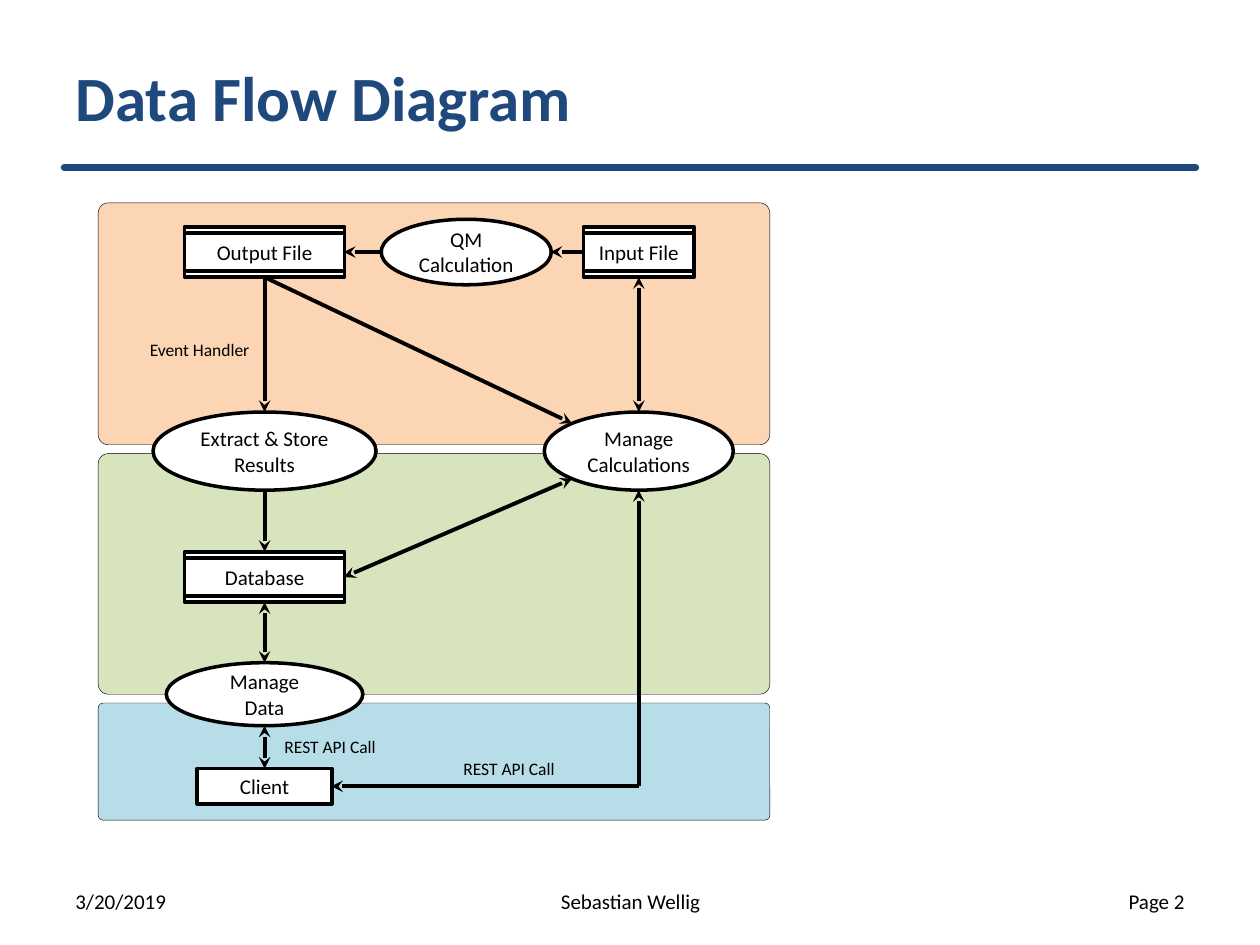
from dataclasses import dataclass

from lxml.etree import SubElement
from pptx import Presentation
from pptx.dml.color import RGBColor
from pptx.enum.shapes import MSO_CONNECTOR, MSO_SHAPE as Shape
from pptx.enum.text import MSO_ANCHOR as Anchor, PP_ALIGN as Align
from pptx.oxml.ns import qn
from pptx.util import Inches, Pt


@dataclass(frozen=True)
class Theme:
    """Colours, type sizes and line widths of the slide."""
    font: str = "Calibri"
    navy: str = "1F497D"
    ink: str = "000000"
    paper: str = "FFFFFF"
    orange: str = "FCD5B5"
    green: str = "D7E4BD"
    blue: str = "B7DEE8"
    title: float = 36
    body: float = 12
    label: float = 10
    rule: float = 4
    arrow: float = 2.25
    outline: float = 2
    hairline: float = 0.25


@dataclass(frozen=True)
class Layer:
    """A coloured band behind the nodes."""
    top: float
    height: float
    fill: str


@dataclass(frozen=True)
class Node:
    """A box of the diagram, placed by its centre."""
    lines: tuple[str, ...]
    kind: Shape
    x: float
    y: float
    width: float
    height: float


@dataclass(frozen=True)
class Flow:
    """A straight arrow between two points."""
    start: tuple[float, float]
    end: tuple[float, float]
    two_way: bool = False


@dataclass(frozen=True)
class Caption:
    """A piece of free text."""
    text: str
    left: float
    top: float
    width: float
    height: float = 0.27
    align: Align = Align.LEFT


THEME = Theme()
LEFT_X, RIGHT_X = 2.1, 5.07
FILES_Y, TASKS_Y, DATABASE_Y, DATA_Y, CLIENT_Y = 2, 3.58, 4.58, 5.51, 6.24
STORE = Shape.FLOWCHART_PREDEFINED_PROCESS

LAYERS = (
    Layer(5.58, 0.93, THEME.blue),
    Layer(1.61, 1.92, THEME.orange),
    Layer(3.6, 1.91, THEME.green),
)
NODES = (
    Node(("Output File",), STORE, LEFT_X, FILES_Y, 1.27, 0.4),
    Node(("Input File",), STORE, RIGHT_X, FILES_Y, 0.88, 0.4),
    Node(("Database",), STORE, LEFT_X, DATABASE_Y, 1.27, 0.4),
    Node(("QM", "Calculation"), Shape.OVAL, 3.7, FILES_Y, 1.35, 0.52),
    Node(("Client",), Shape.RECTANGLE, LEFT_X, CLIENT_Y, 1.07, 0.28),
    Node(("Manage", "Data"), Shape.OVAL, LEFT_X, DATA_Y, 1.56, 0.5),
    Node(("Manage Calculations",), Shape.OVAL, RIGHT_X, TASKS_Y, 1.5, 0.62),
    Node(("Extract & Store", "Results"), Shape.OVAL, LEFT_X, TASKS_Y, 1.77, 0.62),
)
FLOWS = (
    Flow((4.64, FILES_Y), (4.37, FILES_Y)),
    Flow((3.02, FILES_Y), (2.73, FILES_Y)),
    Flow((LEFT_X, 6.1), (LEFT_X, 5.76), two_way=True),
    Flow((LEFT_X, 5.26), (LEFT_X, 4.78), two_way=True),
    Flow((RIGHT_X, CLIENT_Y), (2.63, CLIENT_Y)),
    Flow((RIGHT_X, CLIENT_Y), (RIGHT_X, 3.89)),
    Flow((RIGHT_X, 2.2), (RIGHT_X, 3.27), two_way=True),
    Flow((4.54, 3.8), (2.73, DATABASE_Y), two_way=True),
    Flow((LEFT_X, 2.2), (4.54, 3.36)),
    Flow((LEFT_X, 2.2), (LEFT_X, 3.27)),
    Flow((LEFT_X, 3.89), (LEFT_X, 4.38)),
)
LABELS = (
    Caption("REST API Call", 3.58, 5.97, 0.93),
    Caption("REST API Call", 2.16, 5.79, 0.93),
    Caption("Event Handler", 1.09, 2.64, 1.01),
)
FOOTERS = (
    Caption("3/20/2019", 0.5, 6.95, 2.33, 0.4),
    Caption("Sebastian Wellig", 3.42, 6.95, 3.17, 0.4, Align.CENTER),
    Caption("Page 2", 7.17, 6.95, 2.33, 0.4, Align.RIGHT),
)


def write(frame, lines: tuple[str, ...], size: float, align: Align,
          color: str = THEME.ink, bold: bool = False) -> None:
    """Write one paragraph per line."""
    for index, line in enumerate(lines):
        paragraph = frame.add_paragraph() if index else frame.paragraphs[0]
        paragraph.alignment = align
        run = paragraph.add_run()
        run.text = line
        run.font.name, run.font.size, run.font.bold = THEME.font, Pt(size), bold
        run.font.color.rgb = RGBColor.from_string(color)


def add_box(slide, kind: Shape, left: float, top: float, width: float,
            height: float, fill: str, line_width: float):
    """Add a filled, outlined preset shape."""
    box = slide.shapes.add_shape(
        kind, Inches(left), Inches(top), Inches(width), Inches(height))
    box.shadow.inherit = False
    box.fill.solid()
    box.fill.fore_color.rgb = RGBColor.from_string(fill)
    box.line.color.rgb = RGBColor.from_string(THEME.ink)
    box.line.width = Pt(line_width)
    return box


def add_layer(slide, layer: Layer) -> None:
    """Draw a background band."""
    band = add_box(slide, Shape.ROUNDED_RECTANGLE, 0.78, layer.top, 5.33,
                   layer.height, layer.fill, THEME.hairline)
    band.adjustments[0] = 0.042


def add_node(slide, node: Node) -> None:
    """Draw a node; a store is turned so that its bars lie flat."""
    turned = node.kind == STORE
    width, height = (node.height, node.width) if turned else (node.width, node.height)
    box = add_box(slide, node.kind, node.x - width / 2, node.y - height / 2,
                  width, height, THEME.paper, THEME.outline)
    frame = box.text_frame
    frame.margin_left = frame.margin_right = frame.margin_top = frame.margin_bottom = 0
    frame.word_wrap, frame.vertical_anchor = True, Anchor.MIDDLE
    if turned:
        box.rotation = 90
        frame._txBody.bodyPr.set("vert", "vert270")
    write(frame, node.lines, THEME.body, Align.CENTER)


def add_line(slide, start: tuple[float, float], end: tuple[float, float],
             color: str, width: float):
    """Draw a plain line and return its a:ln element."""
    line = slide.shapes.add_connector(
        MSO_CONNECTOR.STRAIGHT, *(Inches(value) for value in (*start, *end)))
    line.line.color.rgb = RGBColor.from_string(color)
    line.line.width = Pt(width)
    SubElement(line._element.spPr, qn("a:effectLst"))
    return line.line._get_or_add_ln()


def add_flow(slide, flow: Flow) -> None:
    """Draw an arrow with a stealth head at one end or both."""
    outline = add_line(slide, flow.start, flow.end, THEME.ink, THEME.arrow)
    for tag in ("a:headEnd", "a:tailEnd") if flow.two_way else ("a:tailEnd",):
        SubElement(outline, qn(tag), type="stealth")


def add_caption(slide, caption: Caption, size: float, anchor: Anchor, wrap: bool) -> None:
    """Add a text box."""
    box = slide.shapes.add_textbox(Inches(caption.left), Inches(caption.top),
                                   Inches(caption.width), Inches(caption.height))
    box.text_frame.word_wrap, box.text_frame.vertical_anchor = wrap, anchor
    write(box.text_frame, (caption.text,), size, caption.align)


def add_title(slide, text: str) -> None:
    """Place the title and the rule below it."""
    title = slide.shapes.title
    title.left, title.top = Inches(0.5), Inches(0.14)
    title.width, title.height = Inches(9), Inches(1.25)
    title.text_frame.vertical_anchor = Anchor.MIDDLE
    write(title.text_frame, (text,), THEME.title, Align.LEFT, THEME.navy, bold=True)
    add_line(slide, (0.51, 1.33), (9.49, 1.33), THEME.navy, THEME.rule).set("cap", "rnd")


def main() -> None:
    """Build and save the slide."""
    deck = Presentation()
    deck.slide_width, deck.slide_height = Inches(10), Inches(7.5)
    slide = deck.slides.add_slide(deck.slide_layouts[5])
    add_title(slide, "Data Flow Diagram")
    for layer in LAYERS:
        add_layer(slide, layer)
    for footer in FOOTERS:
        add_caption(slide, footer, THEME.body, Anchor.MIDDLE, wrap=True)
    for node in NODES:
        add_node(slide, node)
    for flow in FLOWS:
        add_flow(slide, flow)
    for label in LABELS:
        add_caption(slide, label, THEME.label, Anchor.TOP, wrap=False)
    deck.save("out.pptx")


main()
